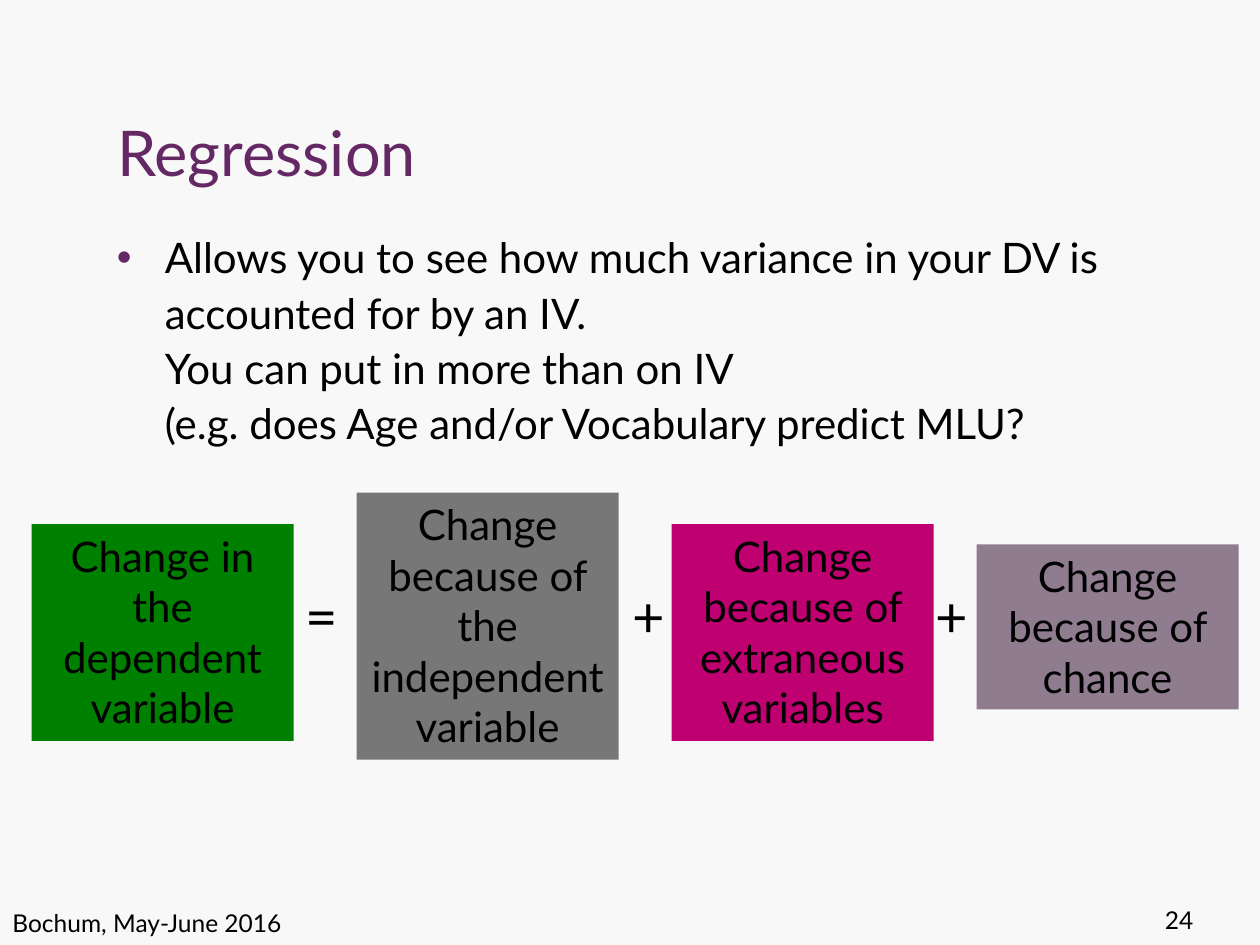
from dataclasses import dataclass

from lxml import etree
from pptx import Presentation
from pptx.dml.color import RGBColor
from pptx.enum.shapes import MSO_SHAPE
from pptx.enum.text import MSO_ANCHOR, MSO_AUTO_SIZE, PP_ALIGN
from pptx.oxml.ns import qn
from pptx.slide import Slide
from pptx.text.text import TextFrame, _Paragraph
from pptx.util import Inches, Pt

RECTANGLE = MSO_SHAPE.RECTANGLE
TOP, BOTTOM = MSO_ANCHOR.TOP, MSO_ANCHOR.BOTTOM
LEFT, CENTER, RIGHT = PP_ALIGN.LEFT, PP_ALIGN.CENTER, PP_ALIGN.RIGHT
GROW, FIXED = MSO_AUTO_SIZE.SHAPE_TO_FIT_TEXT, MSO_AUTO_SIZE.NONE
FONT = "Lato"
BLACK, PURPLE, BACKGROUND = "000000", "642864", "F8F8F8"
BOX_WIDTH = 2.08


@dataclass
class Term:
    """A coloured box of the equation."""
    text: str
    left: float
    top: float
    height: float
    color: str


@dataclass
class Label:
    """A plain line of text."""
    text: str
    left: float
    top: float
    width: float
    height: float
    size: int
    align: PP_ALIGN = LEFT
    auto_size: MSO_AUTO_SIZE = FIXED


TERMS = [
    Term("Change in the dependent variable", 0.25, 4.16, 1.72, "008000"),
    Term("Change because of the independent variable", 2.83, 3.91, 2.12, "777777"),
    Term("Change because of extraneous variables", 5.33, 4.16, 1.72, "BF0071"),
    Term("Change because of chance", 7.75, 4.32, 1.31, "8F7C8F"),
]
OPERATORS = [
    Label(sign, left, 4.57, 0.83, 0.64, 32, auto_size=GROW)
    for sign, left in (("=", 2.33), ("+", 4.92), ("+", 7.33))
]
FOOTERS = [
    Label("Bochum, May-June 2016", 0, 7.16, 6.93, 0.52, 14),
    Label("24", 8.83, 7.13, 0.74, 0.52, 14, RIGHT),
]
BODY_LINES = [
    "Allows you to see how much variance in your DV is accounted for by an IV.",
    "You can put in more than on IV ",
    "(e.g. does Age and/or Vocabulary predict MLU?",
]


def rgb(color: str) -> RGBColor:
    """Turn a hex string into a colour."""
    return RGBColor.from_string(color)


def add_span(para: _Paragraph, text: str, size: int, color: str = BLACK) -> None:
    """Add one formatted run to a paragraph."""
    span = para.add_run()
    span.text = text
    span.font.name = FONT
    span.font.size = Pt(size)
    span.font.color.rgb = rgb(color)


def set_frame(frame: TextFrame, auto_size: MSO_AUTO_SIZE = FIXED,
              anchor: MSO_ANCHOR = TOP) -> None:
    """Set wrapping, fitting and anchoring of a text frame."""
    frame.word_wrap = True
    frame.auto_size = auto_size
    frame.vertical_anchor = anchor


def add_title(page: Slide, text: str) -> None:
    """Place and fill the title placeholder."""
    title = page.shapes.title
    title.left, title.top = Inches(0.83), Inches(0.3)
    title.width, title.height = Inches(6.77), Inches(1.25)
    set_frame(title.text_frame, anchor=BOTTOM)
    para = title.text_frame.paragraphs[0]
    para.alignment = LEFT
    add_span(para, text, 36, PURPLE)


def add_bullet(para: _Paragraph, color: str) -> None:
    """Give a paragraph a coloured bullet with a hanging indent."""
    properties = para._p.get_or_add_pPr()
    properties.set("marL", str(Inches(0.38)))
    properties.set("indent", str(Inches(-0.38)))
    bullet_color = etree.SubElement(properties, qn("a:buClr"))
    etree.SubElement(bullet_color, qn("a:srgbClr"), val=color)
    etree.SubElement(properties, qn("a:buFont"), typeface="Arial")
    etree.SubElement(properties, qn("a:buChar"), char="•")


def add_body(page: Slide, lines: list[str]) -> None:
    """Add the bulleted paragraph with its line breaks."""
    box = page.shapes.add_textbox(Inches(0.83), Inches(1.75), Inches(8.67), Inches(4.75))
    set_frame(box.text_frame)
    para = box.text_frame.paragraphs[0]
    para.line_spacing = 1.1
    para.space_before = Pt(4.8)
    add_bullet(para, PURPLE)
    for index, line in enumerate(lines):
        if index:
            para.add_line_break()
        add_span(para, line, 24)


def add_term(page: Slide, term: Term) -> None:
    """Add one filled box of the equation."""
    box = page.shapes.add_shape(RECTANGLE, Inches(term.left), Inches(term.top),
                                Inches(BOX_WIDTH), Inches(term.height))
    box.shadow.inherit = False
    box.fill.solid()
    box.fill.fore_color.rgb = rgb(term.color)
    box.line.fill.background()
    set_frame(box.text_frame, GROW)
    para = box.text_frame.paragraphs[0]
    para.alignment = CENTER
    add_span(para, term.text, 24)


def add_label(page: Slide, label: Label) -> None:
    """Add one plain text box."""
    box = page.shapes.add_textbox(Inches(label.left), Inches(label.top),
                                  Inches(label.width), Inches(label.height))
    set_frame(box.text_frame, label.auto_size)
    para = box.text_frame.paragraphs[0]
    para.alignment = label.align
    add_span(para, label.text, label.size)


def main() -> None:
    """Build the slide and save the deck."""
    deck = Presentation()
    deck.slide_width, deck.slide_height = Inches(10), Inches(7.5)
    page = deck.slides.add_slide(deck.slide_layouts.get_by_name("Title Only"))
    page.background.fill.solid()
    page.background.fill.fore_color.rgb = rgb(BACKGROUND)
    add_title(page, "Regression")
    add_body(page, BODY_LINES)
    for term in TERMS:
        add_term(page, term)
    for label in OPERATORS + FOOTERS:
        add_label(page, label)
    deck.save("out.pptx")


main()
